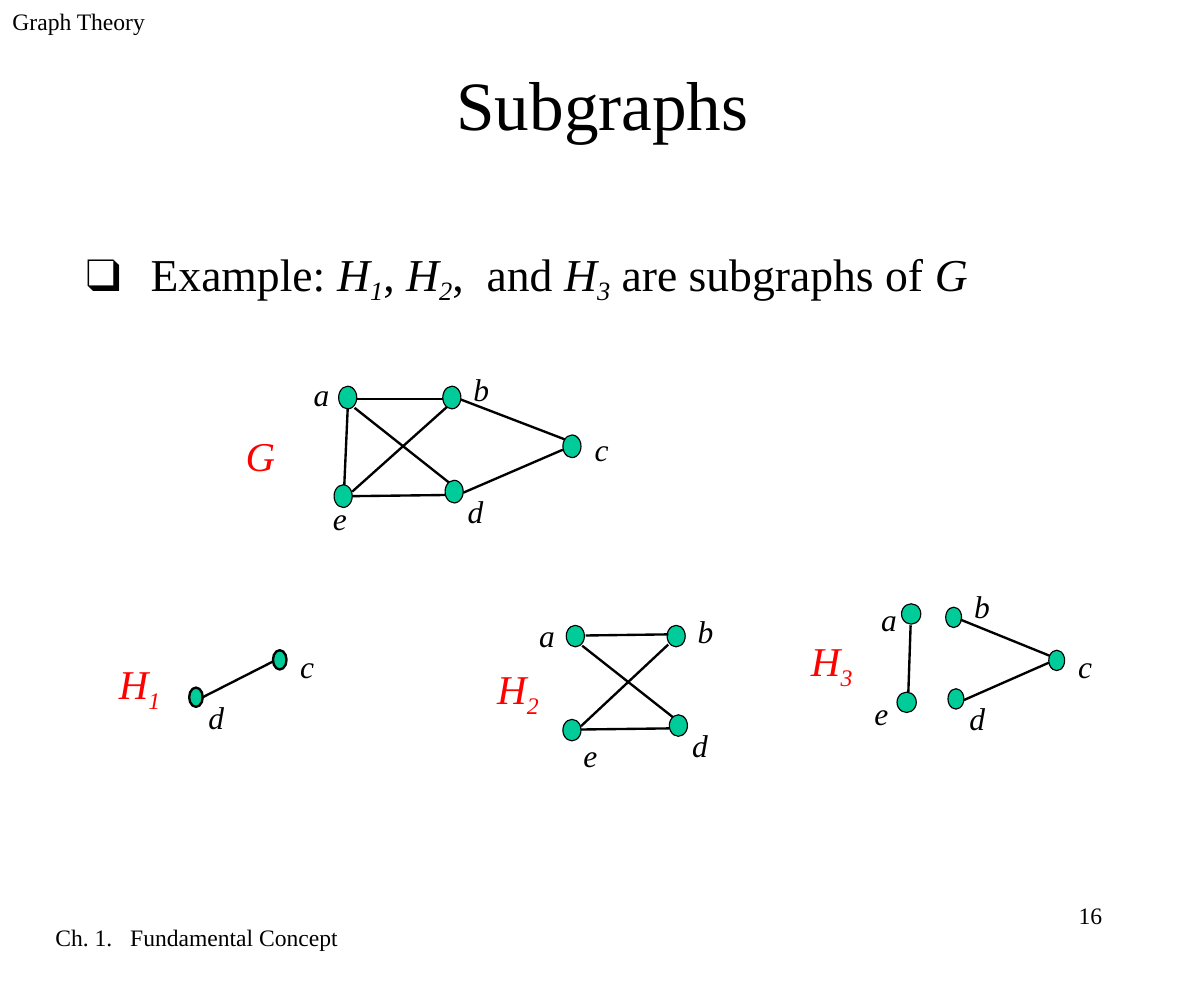
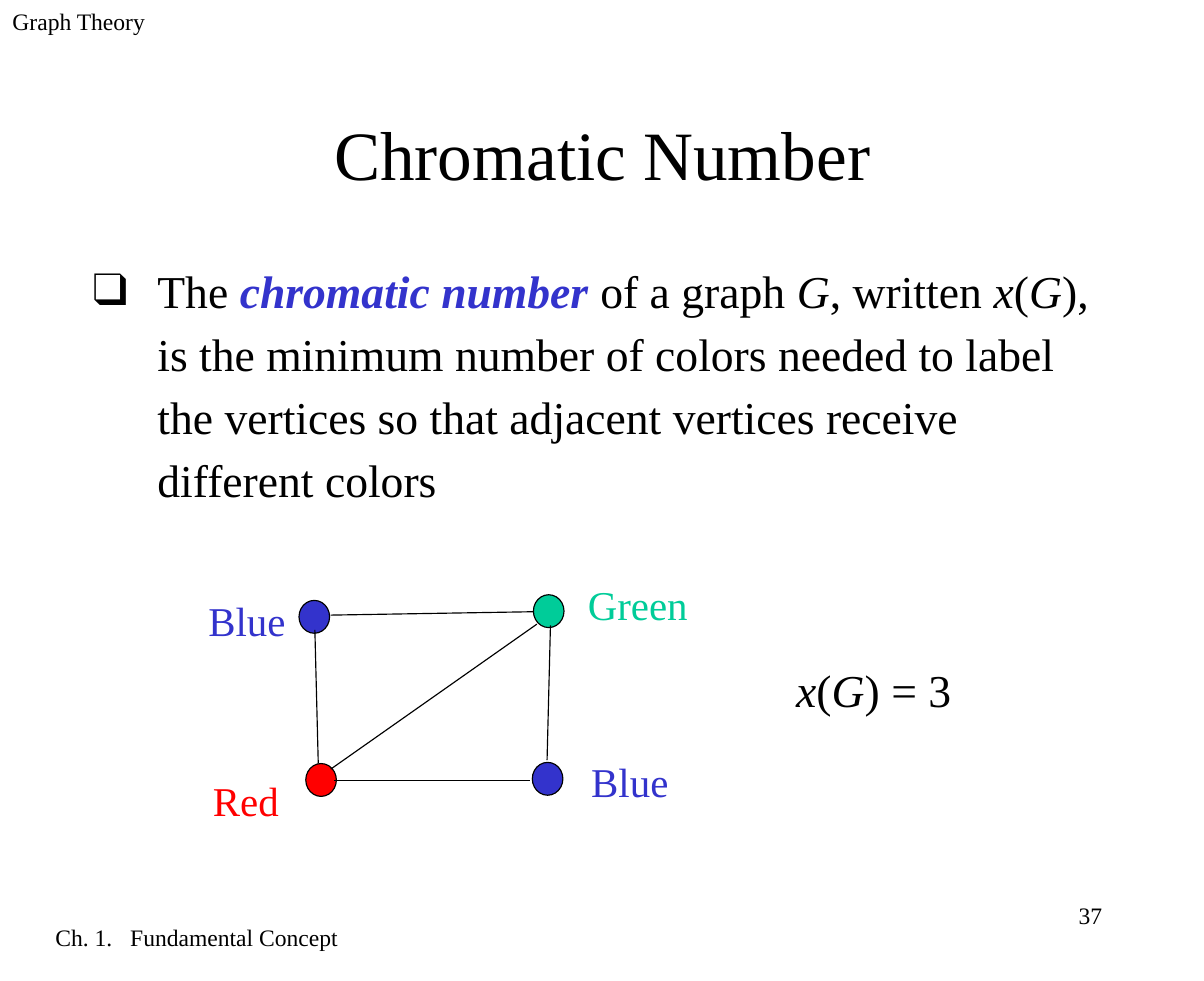
from lxml.etree import SubElement
from pptx import Presentation
from pptx.dml.color import RGBColor
from pptx.enum.shapes import MSO_CONNECTOR, MSO_SHAPE
from pptx.enum.text import MSO_ANCHOR, MSO_AUTO_SIZE, PP_ALIGN
from pptx.oxml.ns import qn
from pptx.util import Inches, Pt

FACE = "Times New Roman"
BLACK, BLUE, GREEN, RED = "000000", "3333CC", "00CC99", "FF0000"
ITAL = {"ital": True}
SUB = {"ital": True, "base": -20}


def hue(code):
    return RGBColor.from_string(code)


def say(para, text, size=15, color=BLACK, bold=False, ital=False, base=0):
    run = para.add_run()
    run.text = text
    font = run.font
    font.name, font.size = FACE, Pt(size)
    font.bold, font.italic = bold, ital
    font.color.rgb = hue(color)
    if base:
        run._r.get_or_add_rPr().set("baseline", str(base * 1000))


class Deck:
    def __init__(self):
        self.show = Presentation()
        self.show.slide_width = Inches(10.63)
        self.show.slide_height = Inches(8.66)
        self.slide = None

    def frame(self, shape, anchor=MSO_ANCHOR.TOP):
        frame = shape.text_frame
        frame.word_wrap = True
        frame.auto_size = MSO_AUTO_SIZE.NONE
        frame.vertical_anchor = anchor
        frame.margin_left = frame.margin_right = Inches(0.11)
        frame.margin_top = frame.margin_bottom = Inches(0.06)
        return frame.paragraphs[0]

    def place(self, shape, x, y, wide, high):
        shape.left, shape.top = Inches(x), Inches(y)
        shape.width, shape.height = Inches(wide), Inches(high)

    def page(self, title, number, top, high):
        self.slide = self.show.slides.add_slide(self.show.slide_layouts[1])
        self.text(0, 0, 2.22, "Graph Theory", high=0.58)
        foot = self.text(0.38, 8.09, 3.09, "Ch. 1.\tFundamental Concept", high=0.58)
        tabs = SubElement(foot._p.get_or_add_pPr(), qn("a:tabLst"))
        SubElement(tabs, qn("a:tab"), pos=str(Inches(0.66)), algn="l")
        page = self.text(7.62, 7.89, 2.22, str(number), high=0.58)
        page.alignment = PP_ALIGN.RIGHT
        head = self.slide.shapes.title
        self.place(head, 0.8, top, 9.04, high)
        para = self.frame(head, MSO_ANCHOR.MIDDLE)
        para.alignment = PP_ALIGN.CENTER
        say(para, title, size=44)

    def body(self, x, y, wide, high, gap, parts):
        shape = self.slide.placeholders[1]
        self.place(shape, x, y, wide, high)
        para = self.frame(shape)
        props = para._p.get_or_add_pPr()
        props.set("marL", str(Inches(0.57)))
        props.set("indent", str(-Inches(0.57)))
        SubElement(SubElement(props, qn("a:buClr")), qn("a:srgbClr"), val=BLACK)
        SubElement(props, qn("a:buFont"), typeface=FACE)
        SubElement(props, qn("a:buChar"), char="❑")
        para.line_spacing = gap
        para.space_before = Pt(0)
        para.alignment = PP_ALIGN.LEFT
        for text, style in parts:
            say(para, text, size=29, **style)

    def text(self, x, y, wide, text, high=0.54, **style):
        box = self.slide.shapes.add_textbox(
            Inches(x), Inches(y), Inches(wide), Inches(high))
        para = self.frame(box)
        if text:
            say(para, text, **style)
        return para

    def name(self, x, y, mark, sub=""):
        para = self.text(x, y, 1.08, mark, size=26, color=RED, ital=True)
        if sub:
            say(para, sub, size=26, color=RED, ital=True, base=-25)

    def marks(self, wide, spots):
        for mark, (x, y) in spots.items():
            self.text(x, y, wide, mark, high=0.44, size=20, ital=True)

    def dots(self, wide, high, spots, color=GREEN, line=0.75):
        for x, y in spots:
            dot = self.slide.shapes.add_shape(
                MSO_SHAPE.OVAL, Inches(x), Inches(y), Inches(wide), Inches(high))
            dot.shadow.inherit = False
            dot.fill.solid()
            dot.fill.fore_color.rgb = hue(color)
            dot.line.color.rgb = hue(BLACK)
            dot.line.width = Pt(line)

    def edges(self, ends, line=1.5):
        for points in ends:
            edge = self.slide.shapes.add_connector(
                MSO_CONNECTOR.STRAIGHT, *[Inches(n) for n in points])
            edge.line.color.rgb = hue(BLACK)
            edge.line.width = Pt(line)
            SubElement(edge._element.spPr, qn("a:effectLst"))

    def save(self):
        self.show.save("out.pptx")


def subs(deck):
    deck.page("Subgraphs", 16, 0.21, 1.4)
    deck.body(0.65, 1.98, 9.04, 6.02, 1.25, [
        ("Example: ", {}), ("H", ITAL), ("1", SUB), (", ", {}),
        ("H", ITAL), ("2", SUB), (",  and ", {}), ("H", ITAL), ("3", SUB),
        (" are subgraphs of ", {}), ("G", ITAL)])

    deck.dots(0.12, 0.17, [(1.67, 6.07), (2.41, 5.74)], line=1.5)
    deck.edges([(1.78, 6.16, 2.41, 5.84)])
    deck.marks(0.31, {"c": (2.54, 5.65), "d": (1.73, 6.1)})
    deck.name(0.94, 5.75, "H", "1")

    deck.dots(0.16, 0.19, [(5, 5.52), (4.97, 6.35), (5.89, 5.52), (5.91, 6.31)])
    deck.edges([
        (5.13, 6.44, 5.91, 6.43), (5.17, 5.61, 5.9, 5.6),
        (5.13, 6.41, 5.9, 5.69), (5.14, 5.7, 5.94, 6.33)])
    deck.marks(0.42, {
        "a": (4.65, 5.38), "b": (6.05, 5.34), "d": (6, 6.35), "e": (5.04, 6.44)})
    deck.name(4.28, 5.8, "H", "2")

    deck.dots(0.17, 0.18, [(7.96, 5.33), (7.92, 6.11)])
    deck.dots(0.14, 0.18, [(8.35, 5.36), (8.37, 6.08), (9.26, 5.74)])
    deck.edges([
        (8.04, 5.52, 8.02, 6.11), (8.51, 6.18, 9.26, 5.85),
        (8.48, 5.47, 9.27, 5.79)])
    deck.marks(0.4, {
        "a": (7.67, 5.24), "b": (8.49, 5.12), "c": (9.41, 5.65),
        "d": (8.45, 6.11), "e": (7.61, 6.07)})
    deck.name(7.05, 5.55, "H", "3")

    deck.edges([
        (3.07, 3.61, 3.04, 4.28), (3.11, 4.38, 3.93, 4.37),
        (4.09, 4.35, 4.97, 3.97), (4.05, 3.52, 4.99, 3.88),
        (3.14, 3.52, 3.94, 3.52), (3.11, 4.34, 3.96, 3.58),
        (3.13, 3.6, 3.99, 4.28)])
    deck.dots(0.16, 0.2, [
        (2.99, 3.41), (2.95, 4.28), (4.97, 3.84), (3.91, 3.41), (3.93, 4.24)])
    deck.marks(0.44, {
        "a": (2.66, 3.25), "b": (4.07, 3.21), "c": (5.14, 3.74),
        "d": (4.02, 4.28), "e": (2.83, 4.35)})
    deck.name(2.06, 3.74, "G")


def chroma(deck):
    deck.page("Chromatic Number", 37, 0.77, 1.15)
    deck.body(0.71, 2.19, 9.06, 2.4, 1.15, [
        ("The ", {}),
        ("chromatic number", {"color": BLUE, "bold": True, "ital": True}),
        (" of a graph ", {}), ("G", ITAL), (", written ", {}), ("x", ITAL),
        ("(", {}), ("G", ITAL),
        ("), is the minimum number of colors needed to label the vertices "
         "so that adjacent vertices receive different colors", {})])

    for word, color, dot, spot, wide in [
            ("Blue", BLUE, (2.64, 5.3), (1.73, 5.2), 0.93),
            ("Green", GREEN, (4.71, 5.25), (5.08, 5.06), 1.31),
            ("Red", RED, (2.7, 6.74), (1.77, 6.79), 0.84),
            ("Blue", BLUE, (4.7, 6.73), (5.11, 6.62), 1.11)]:
        deck.dots(0.27, 0.29, [dot], color=color)
        deck.text(*spot, wide, word, size=26, color=color)
    deck.edges([
        (2.78, 5.56, 2.81, 6.74), (2.95, 6.89, 4.68, 6.89),
        (4.86, 5.52, 4.83, 6.71), (2.92, 5.43, 4.71, 5.4),
        (4.74, 5.51, 2.92, 6.79)], line=0.75)

    para = deck.text(6.92, 5.78, 1.94, "x", high=0.59, size=29, ital=True)
    for text, style in [("(", {}), ("G", ITAL), (") = 3", {})]:
        say(para, text, size=29, **style)


def main():
    deck = Deck()
    subs(deck)
    chroma(deck)
    deck.save()


if __name__ == "__main__":
    main()
